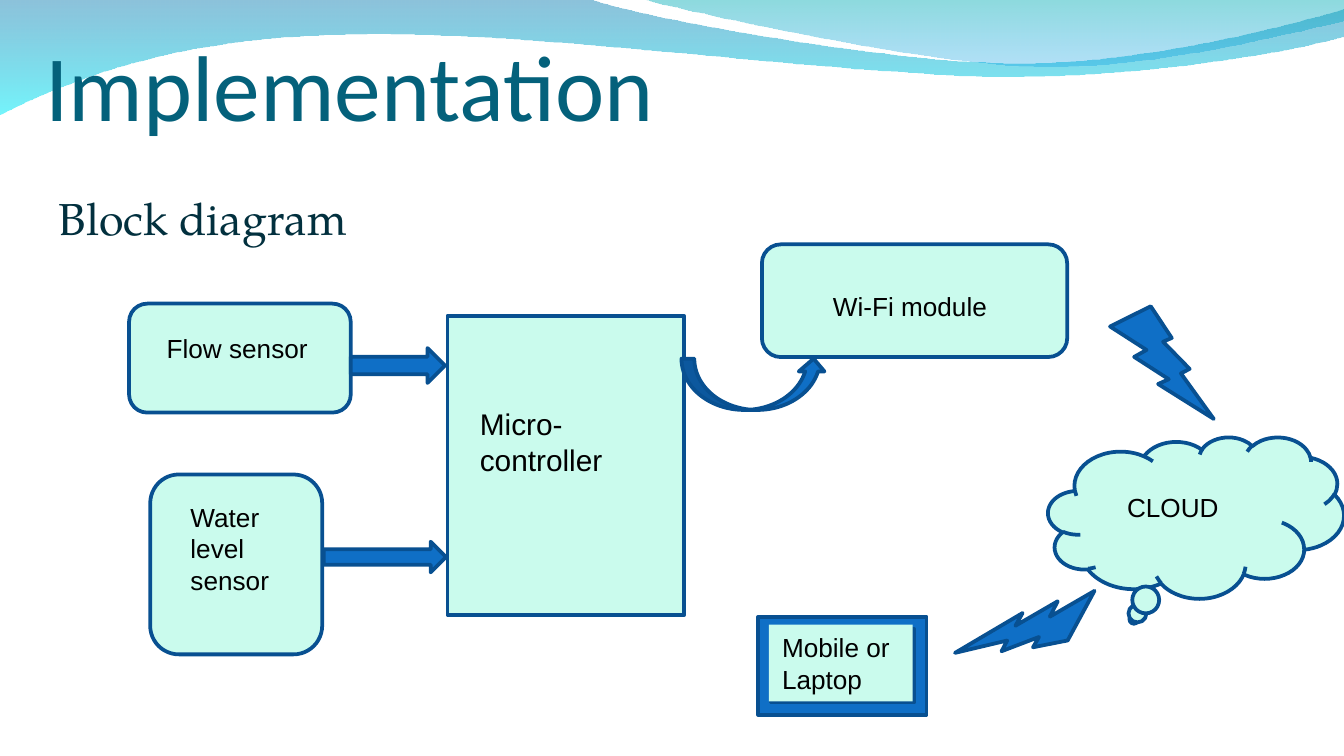
from lxml import etree
from pptx import Presentation
from pptx import util as u
from pptx.dml import color
from pptx.enum import shapes, text
from pptx.oxml import ns

COLORS = {
    "pale": "CAFBED", "blue": "0F6FC6", "outline": "085091", "title": "04617B",
    "body": "02303E", "label": "000000", "wave_top": "0079AF", "wave_bottom": "00EBF8",
    "crest_top": "00ADB6", "crest_bottom": "009BE5",
}
SHAPE = shapes.MSO_SHAPE
LONG_WAVE = [
    [(0, 0), (4.4, 0)],
    [(4.76, 0.13), (6.64, 0.47), (7.58, 0.47)],
    [(8.53, 0.47), (9.58, 0.19), (10, 0.07)],
    [(10, 0.27)],
    [(9.83, 0.33), (8.7, 0.57), (7.46, 0.57)],
    [(6.22, 0.56), (3.82, 0.21), (2.57, 0.26)],
    [(1.29, 0.27), (0.46, 0.62), (0, 0.85)],
]
CREST = [
    [(4.79, 0)],
    [(5.09, 0.08), (6.82, 0.46), (7.69, 0.49)],
    [(8.56, 0.52), (9.61, 0.24), (10, 0.16)],
    [(10, 0)],
]


def rgb(name):
    """Return the named colour."""
    return color.RGBColor.from_string(COLORS[name])


def within(box, left, top, width, height):
    """Return a box placed relative to another box, in centimetres."""
    return box[0] + left, box[1] + top, width, height


def write(shape, lines, size, font="Arial", tone="label", inset=0.13, spacing=None):
    """Write left-aligned lines into a shape from its top."""
    frame = shape.text_frame
    frame.word_wrap = True
    frame.vertical_anchor = text.MSO_ANCHOR.TOP
    frame.margin_left = frame.margin_right = u.Cm(0.25)
    frame.margin_top = frame.margin_bottom = u.Cm(inset)
    for index, line in enumerate(lines):
        paragraph = frame.add_paragraph() if index else frame.paragraphs[0]
        paragraph.alignment = text.PP_ALIGN.LEFT
        paragraph.line_spacing = spacing
        run = paragraph.add_run()
        run.text = line
        run.font.size = u.Pt(size)
        run.font.name = font
        run.font.color.rgb = rgb(tone)


def add_text(slide, box, lines, size, **style):
    """Add a text box."""
    write(slide.shapes.add_textbox(*map(u.Cm, box)), lines, size, **style)


def add_figure(slide, kind, box, fill, outlined=True, adjustments=(), rotation=0):
    """Add a flat preset shape."""
    shape = slide.shapes.add_shape(kind, *map(u.Cm, box))
    shape.shadow.inherit = False
    shape.rotation = rotation
    for index, value in enumerate(adjustments):
        shape.adjustments[index] = value
    shape.fill.solid()
    shape.fill.fore_color.rgb = rgb(fill)
    if outlined:
        shape.line.color.rgb = rgb("outline")
        shape.line.width = u.Pt(2)
    else:
        shape.line.fill.background()
    return shape


def add_block(slide, kind, box, label_box, lines, size=14, adjustments=()):
    """Add a pale block with a label placed relative to it."""
    add_figure(slide, kind, box, "pale", adjustments=adjustments)
    add_text(slide, within(box, *label_box), lines, size)


def trace(segments, steps=24):
    """Turn straight points and cubic curves into one list of points."""
    points = []
    for segment in segments:
        if len(segment) < 3:
            points += segment
            continue
        controls = [points[-1], *segment]
        for step in range(1, steps + 1):
            t = step / steps
            weights = ((1 - t) ** 3, 3 * t * (1 - t) ** 2, 3 * t * t * (1 - t), t ** 3)
            points.append(tuple(sum(w * c[axis] for w, c in zip(weights, controls))
                                for axis in (0, 1)))
    return points


def draw_waves(slide, box):
    """Draw the translucent waves across the top."""
    left, top, width, _ = box
    waves = [(LONG_WAVE, ("wave_top", "wave_bottom"), (45, 55)),
             (CREST, ("crest_top", "crest_bottom"), (45, 30))]
    for segments, tones, opacities in waves:
        points = [(u.Cm(left + x * width / 10), u.Cm(top + y * width / 10))
                  for x, y in trace(segments)]
        builder = slide.shapes.build_freeform(*points[0])
        builder.add_line_segments(points[1:], close=True)
        wave = builder.convert_to_shape()
        wave.shadow.inherit = False
        wave.line.fill.background()
        wave.fill.gradient()
        wave.fill.gradient_angle = 270
        for stop, tone, position in zip(wave.fill.gradient_stops, tones, (0, 1)):
            stop.color.rgb = rgb(tone)
            stop.position = position
        tints = wave._element.spPr.iter(ns.qn("a:srgbClr"))
        for tint, opacity in zip(tints, opacities):
            etree.SubElement(tint, ns.qn("a:alpha")).set("val", str(opacity * 1000))


def draw_heading(slide, box):
    """Write the title and the subtitle."""
    add_text(slide, within(box, 0, 0, 23.67, 1.6), ["Implementation"], 50,
             font="Calibri", tone="title", inset=0.25)
    add_text(slide, within(box, 0.25, 2.92, 23.67, 1.6), ["Block diagram"], 24,
             font="TeX Gyre Pagella", tone="body", inset=0.25, spacing=1.15)


def draw_sensing(slide, box):
    """Draw the sensors feeding the controller."""
    add_block(slide, SHAPE.RECTANGLE, within(box, 6.02, 0.23, 4.47, 5.66),
              (0.36, 1.57, 3.12, 1.63), ["Micro-controller"], size=16)
    add_block(slide, SHAPE.ROUNDED_RECTANGLE, within(box, 0, 0, 4.19, 2.06),
              (0.46, 0.41, 3.4, 0.86), ["Flow sensor"])
    add_block(slide, SHAPE.ROUNDED_RECTANGLE, within(box, 0.4, 3.23, 3.25, 3.4),
              (0.51, 0.38, 2.03, 2.03), ["Water level", "sensor"])
    for arrow in ((4.19, 0.84, 1.78, 0.66), (3.68, 4.5, 2.31, 0.58)):
        add_figure(slide, SHAPE.RIGHT_ARROW, within(box, *arrow), "blue")


def draw_network(slide, box):
    """Draw the wireless path from the module to the user's device."""
    add_block(slide, SHAPE.ROUNDED_RECTANGLE, within(box, 1.52, 0, 5.77, 2.13),
              (1.09, 0.74, 3.89, 0.86), ["Wi-Fi module"])
    add_block(slide, SHAPE.CLOUD_CALLOUT, within(box, 6.93, 3.64, 5.59, 3.05),
              (1.24, 0.89, 2.77, 0.86), ["CLOUD"], adjustments=(-0.21, 0.63))
    add_figure(slide, SHAPE.FRAME, within(box, 1.45, 7.04, 3.18, 1.85), "blue",
               adjustments=(0.125,))
    screen = add_figure(slide, SHAPE.RECTANGLE, within(box, 1.65, 7.19, 2.72, 1.45),
                        "pale", outlined=False)
    write(screen, ["Mobile or Laptop"], 14)
    add_figure(slide, SHAPE.CURVED_UP_ARROW, within(box, 0, 2.16, 2.74, 0.97), "blue")
    add_figure(slide, SHAPE.LIGHTNING_BOLT, within(box, 8.1, 1.17, 1.96, 2.13), "blue")
    add_figure(slide, SHAPE.LIGHTNING_BOLT, within(box, 5.26, 6.51, 2.64, 1.42), "blue",
               rotation=132.2)


def main():
    """Build and save the presentation."""
    presentation = Presentation()
    presentation.slide_width, presentation.slide_height = u.Cm(25.4), u.Cm(14.29)
    slide = presentation.slides.add_slide(presentation.slide_layouts[6])
    draw_waves(slide, (0, 0, 25.4, 2.16))
    draw_heading(slide, (0.61, 0.28, 23.92, 4.52))
    draw_sensing(slide, (2.44, 5.74, 10.49, 6.63))
    draw_network(slide, (12.88, 4.62, 12.52, 8.89))
    presentation.save("out.pptx")


if __name__ == "__main__":
    main()
